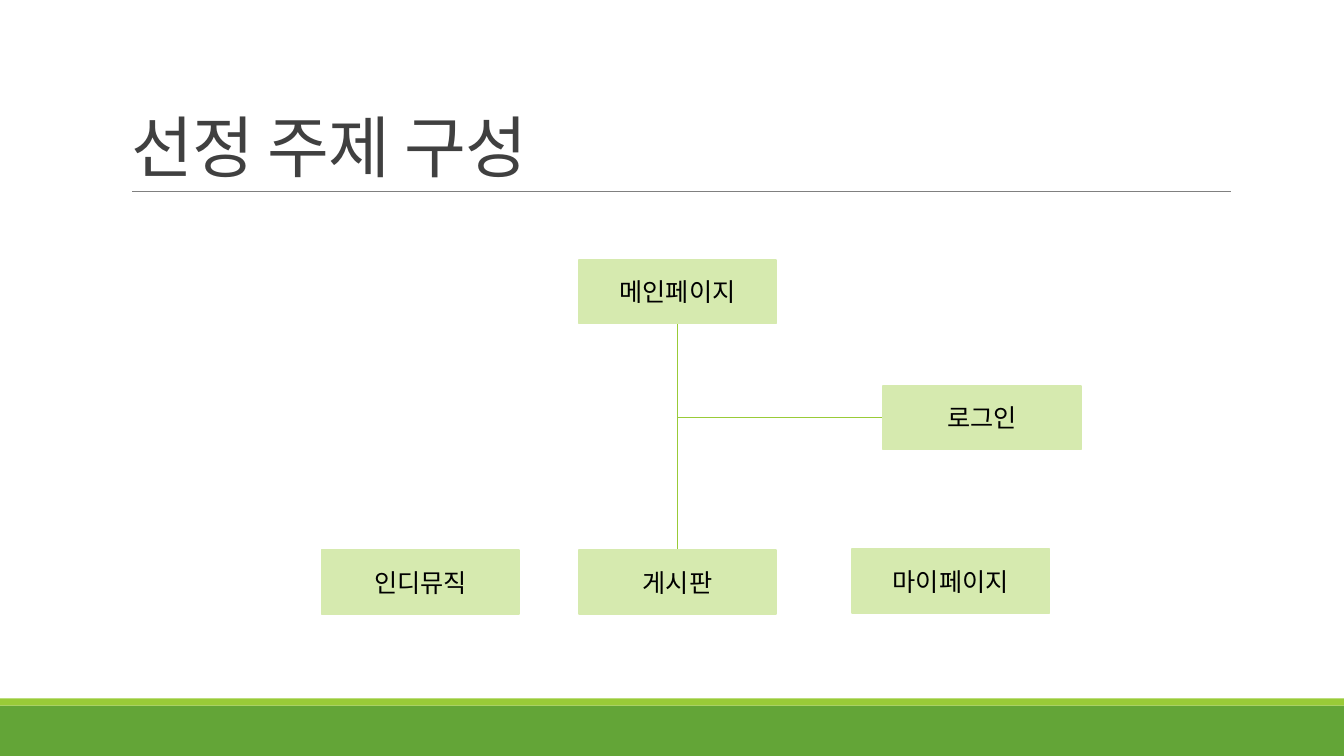
from dataclasses import dataclass

from lxml import etree
from pptx import Presentation
from pptx import util as u
from pptx.dml import color
from pptx.enum import shapes, text
from pptx.oxml import ns

EMU_PER_PX = 9144


@dataclass(frozen=True)
class Theme:
    font: str = "Calibri"
    title_size: float = 48
    label_size: float = 18
    title_color: str = "404040"
    label_color: str = "000000"
    rule_color: str = "808080"
    base_color: str = "63A537"
    accent_color: str = "99CB38"
    box_color: str = "D6EAAF"


@dataclass(frozen=True)
class Area:
    left: int
    top: int
    width: int
    height: int
    color: str
    label: str = ""


@dataclass(frozen=True)
class Line:
    start: tuple[int, int]
    end: tuple[int, int]
    color: str
    width: float


THEME = Theme()
SLIDE_WIDTH, SLIDE_HEIGHT = 1333, 750
BOX_WIDTH, BOX_HEIGHT = 196, 63
MAIN_LEFT, MAIN_TOP = 574, 258
LOGIN_LEFT, LOGIN_TOP = 876, 383
BOARD_TOP = 546
TRUNK_X = MAIN_LEFT + BOX_WIDTH // 2
BRANCH_Y = LOGIN_TOP + BOX_HEIGHT // 2


def page_box(left: int, top: int, label: str) -> Area:
    return Area(left, top, BOX_WIDTH, BOX_HEIGHT, THEME.box_color, label)


BANDS = [
    Area(0, 700, SLIDE_WIDTH, 50, THEME.base_color),
    Area(0, 693, SLIDE_WIDTH, 7, THEME.accent_color),
]
LINES = [
    Line((131, 190), (1221, 190), THEME.rule_color, 0.5),
    Line((TRUNK_X, MAIN_TOP + BOX_HEIGHT), (TRUNK_X, BOARD_TOP), THEME.accent_color, 1),
    Line((LOGIN_LEFT, BRANCH_Y), (TRUNK_X, BRANCH_Y), THEME.accent_color, 1),
]
PAGES = [
    page_box(MAIN_LEFT, MAIN_TOP, "메인페이지"),
    page_box(LOGIN_LEFT, LOGIN_TOP, "로그인"),
    page_box(319, BOARD_TOP, "인디뮤직"),
    page_box(MAIN_LEFT, BOARD_TOP, "게시판"),
    page_box(845, BOARD_TOP - 1, "마이페이지"),
]


def px(value: int) -> u.Emu:
    return u.Emu(value * EMU_PER_PX)


def set_format(target, values: dict) -> None:
    for name, value in values.items():
        setattr(target, name, value)


def write_text(shape, content: str, size: float, fill: str, frame: dict, paragraph_format: dict):
    set_format(shape.text_frame, {"word_wrap": True, "auto_size": text.MSO_AUTO_SIZE.NONE, **frame})
    paragraph = shape.text_frame.paragraphs[0]
    set_format(paragraph, paragraph_format)
    run = paragraph.add_run()
    run.text = content
    set_format(run.font, {"name": THEME.font, "size": u.Pt(size)})
    run.font.color.rgb = color.RGBColor.from_string(fill)
    return run


def add_title(slide, content: str) -> None:
    title = slide.shapes.title
    set_format(title, {"left": px(120), "top": px(31), "width": px(1100), "height": px(159)})
    run = write_text(
        title, content, THEME.title_size, THEME.title_color,
        {"vertical_anchor": text.MSO_ANCHOR.BOTTOM},
        {"alignment": text.PP_ALIGN.LEFT, "line_spacing": 0.85, "space_before": u.Pt(0)},
    )
    run.font._element.set("spc", "-50")


def add_area(slide, area: Area) -> None:
    shape = slide.shapes.add_shape(
        shapes.MSO_SHAPE.RECTANGLE, px(area.left), px(area.top), px(area.width), px(area.height)
    )
    shape.shadow.inherit = False
    shape.fill.solid()
    shape.fill.fore_color.rgb = color.RGBColor.from_string(area.color)
    if not area.label:
        shape.line.fill.background()
        return
    shape.line.color.rgb = color.RGBColor.from_string(area.color)
    shape.line.width = u.Pt(1.25)
    write_text(
        shape, area.label, THEME.label_size, THEME.label_color,
        {"vertical_anchor": text.MSO_ANCHOR.MIDDLE},
        {"alignment": text.PP_ALIGN.CENTER},
    )


def add_line(slide, line: Line) -> None:
    connector = slide.shapes.add_connector(
        shapes.MSO_CONNECTOR.STRAIGHT, *map(px, line.start + line.end)
    )
    connector.line.color.rgb = color.RGBColor.from_string(line.color)
    connector.line.width = u.Pt(line.width)
    etree.SubElement(connector._element.spPr, ns.qn("a:effectLst"))


def main() -> None:
    presentation = Presentation()
    set_format(presentation, {"slide_width": px(SLIDE_WIDTH), "slide_height": px(SLIDE_HEIGHT)})
    slide = presentation.slides.add_slide(presentation.slide_layouts.get_by_name("Title Only"))
    add_title(slide, "선정 주제 구성")
    for line in LINES:
        add_line(slide, line)
    for area in BANDS + PAGES:
        add_area(slide, area)
    presentation.save("out.pptx")


if __name__ == "__main__":
    main()
